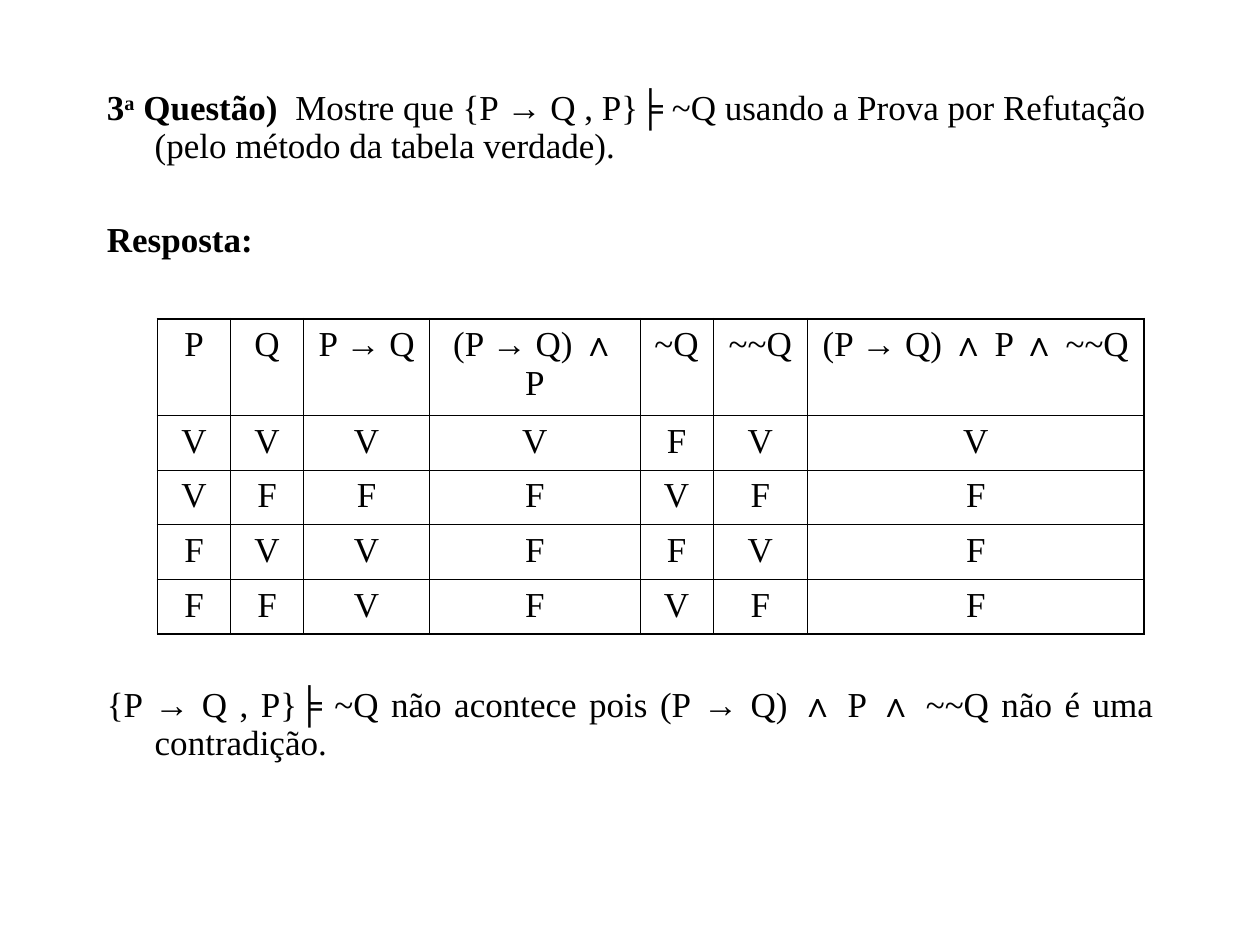
from dataclasses import dataclass
from itertools import groupby

from lxml import etree
from pptx import Presentation
from pptx.dml.color import RGBColor
from pptx.enum.text import MSO_ANCHOR, PP_ALIGN as Align
from pptx.oxml.ns import qn
from pptx.util import Inches, Pt


@dataclass(frozen=True)
class Theme:
    ink: str = "000000"
    body_font: str = "Times New Roman"
    symbol_font: str = "Arial"
    symbols: str = "→∧"
    size: int = 20
    inner_line: float = 0.45
    outer_line: float = 1.08


theme = Theme()


def add_text(paragraph, text, bold=False, baseline=0):
    """Append text, giving the logic symbols a font of their own."""
    for is_symbol, letters in groupby(text, lambda letter: letter in theme.symbols):
        run = paragraph.add_run()
        run.text = "".join(letters)
        run.font.name = theme.symbol_font if is_symbol else theme.body_font
        run.font.size = Pt(theme.size)
        run.font.bold = bold
        run.font.color.rgb = RGBColor.from_string(theme.ink)
        if baseline:
            run.font._element.set("baseline", str(baseline))


def set_borders(cell, widths):
    """Draw the left, right, top and bottom cell lines, in that order."""
    properties = cell._tc.get_or_add_tcPr()
    for index, (side, width) in enumerate(zip("LRTB", widths)):
        line = etree.Element(qn(f"a:ln{side}"), w=str(Pt(width)))
        fill = etree.SubElement(line, qn("a:solidFill"))
        etree.SubElement(fill, qn("a:srgbClr"), val=theme.ink)
        properties.insert(index, line)


prs = Presentation()
prs.slide_width, prs.slide_height = Inches(10), Inches(7.5)
slide = prs.slides.add_slide(prs.slide_layouts[6])

# Question, answer heading and conclusion; the table sits in the last gap
exercise = slide.shapes.add_textbox(
    Inches(0.75), Inches(0.67), Inches(8.5), Inches(6)).text_frame
exercise.word_wrap = True
question = exercise.paragraphs[0]
answer = exercise.add_paragraph()
conclusion = exercise.add_paragraph()

add_text(question, "3", bold=True)
add_text(question, "a", bold=True, baseline=30000)
add_text(question, " Questão)  ", bold=True)
add_text(question, "Mostre que {P → Q , P}╞ ~Q usando a Prova por Refutação "
                   "(pelo método da tabela verdade).")
add_text(answer, "Resposta:", bold=True)
add_text(conclusion, "{P → Q , P}╞ ~Q não acontece pois "
                     "(P → Q) ∧ P ∧ ~~Q não é uma contradição.")

for paragraph in exercise.paragraphs:
    paragraph.line_spacing = 0.9
    hanging = paragraph._p.get_or_add_pPr()
    hanging.set("marL", str(Inches(0.38)))
    hanging.set("indent", str(-Inches(0.38)))
answer.space_before = Pt(32)
conclusion.space_before = Pt(244)
conclusion.alignment = Align.JUSTIFY

# Truth table
truth_rows = [
    ["P", "Q", "P → Q", "(P → Q) ∧ P", "~Q", "~~Q", "(P → Q) ∧ P ∧ ~~Q"],
    "VVVVFVV",
    "VFFFVFF",
    "FVVFFVF",
    "FFVFVFF",
]
column_widths = [0.58, 0.58, 1, 1.67, 0.58, 0.75, 2.67]
row_height = 0.43
last_row, last_column = len(truth_rows) - 1, len(column_widths) - 1

truth_table = slide.shapes.add_table(
    len(truth_rows), len(column_widths), Inches(1.25), Inches(2.53),
    Inches(sum(column_widths)), Inches(row_height * len(truth_rows))).table
truth_table.first_row = truth_table.horz_banding = False
for column, width in zip(truth_table.columns, column_widths):
    column.width = Inches(width)

for r, values in enumerate(truth_rows):
    truth_table.rows[r].height = Inches(row_height)
    for c, value in enumerate(values):
        cell = truth_table.cell(r, c)
        cell.fill.background()
        cell.vertical_anchor = MSO_ANCHOR.TOP
        on_edge = (c == 0, c == last_column, r == 0, r == last_row)
        set_borders(cell, [theme.outer_line if edge else theme.inner_line
                           for edge in on_edge])
        add_text(cell.text_frame.paragraphs[0], value)
        cell.text_frame.paragraphs[0].alignment = Align.CENTER

prs.save("out.pptx")
